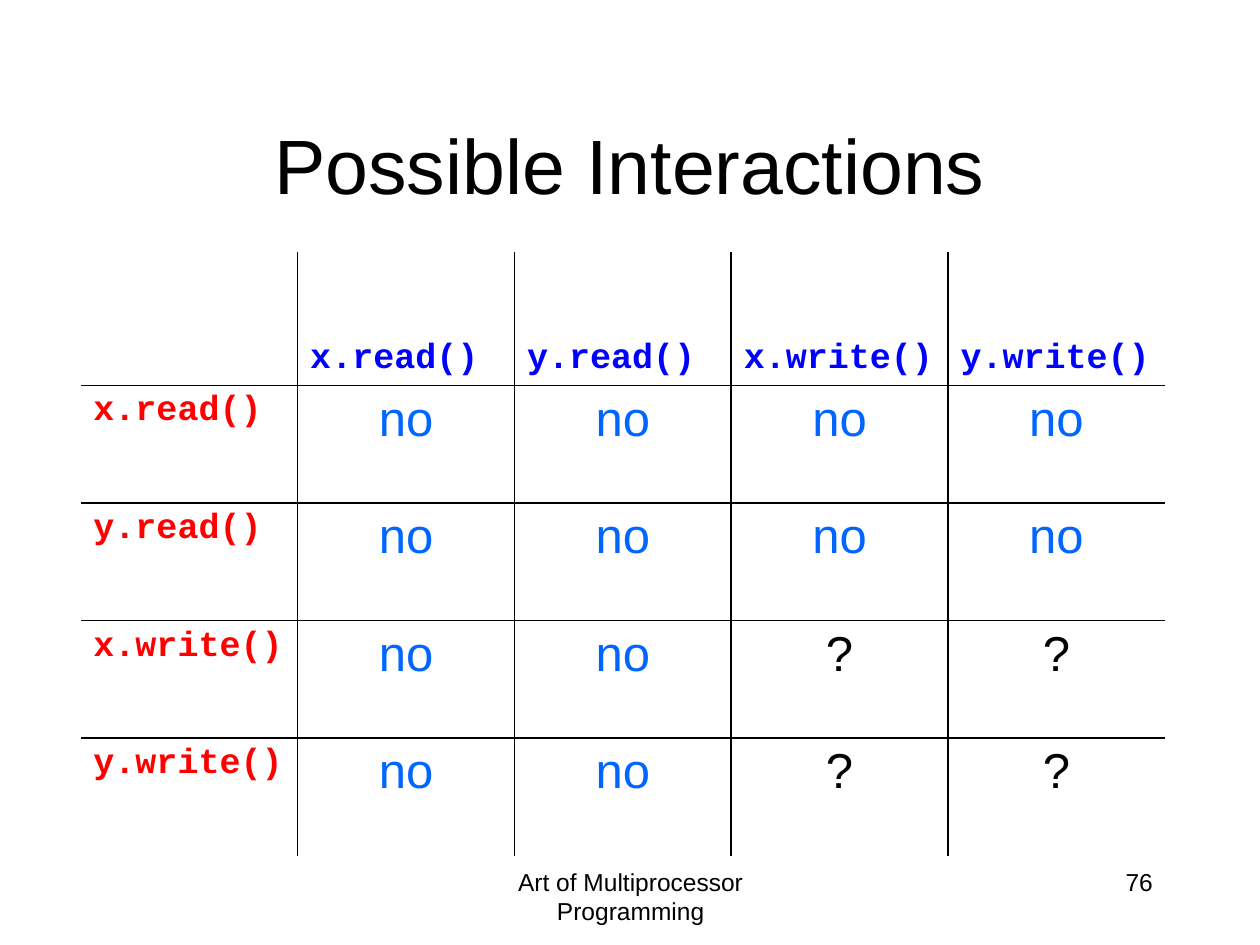
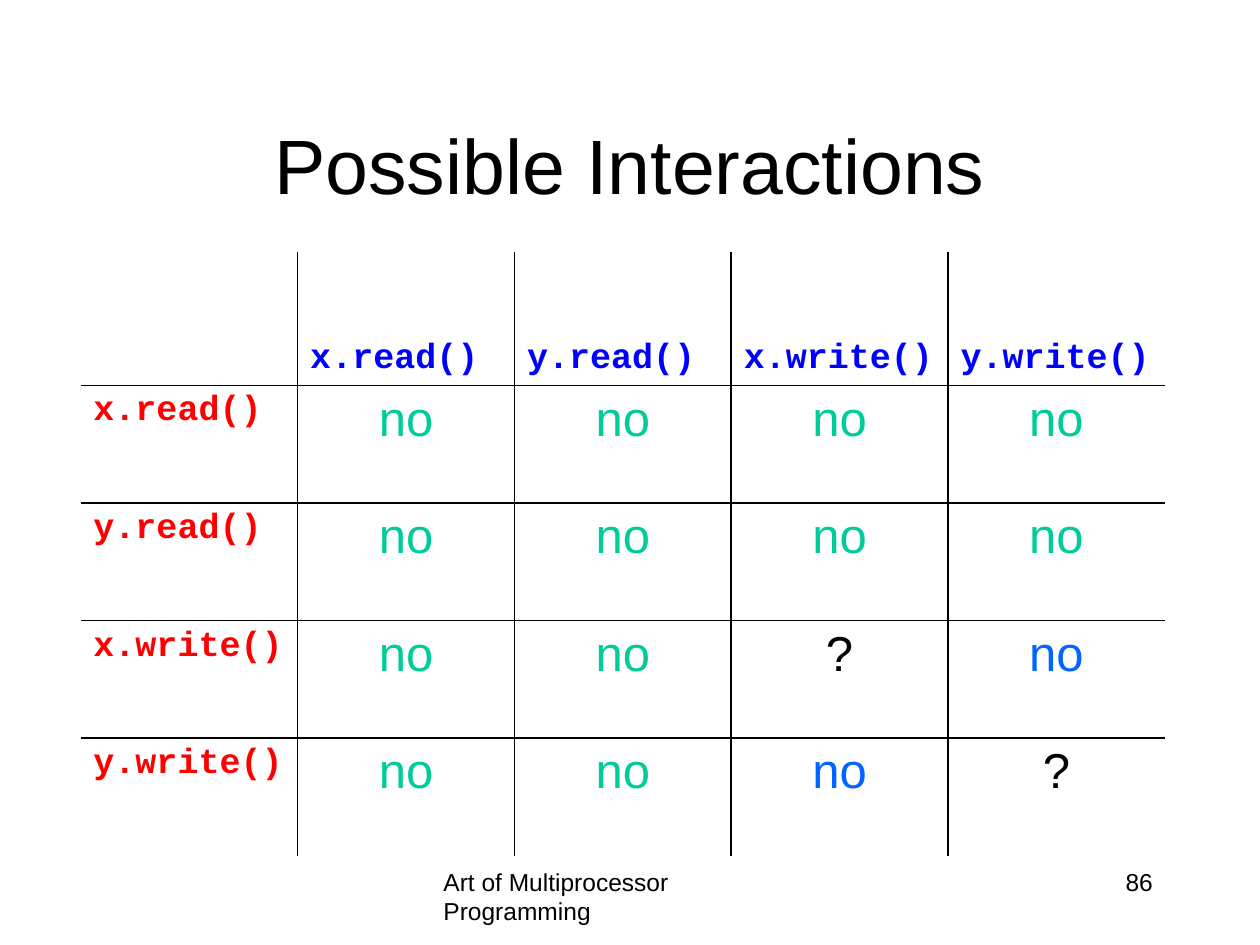
"""Build two slides of method interaction tables."""
from lxml import etree
from pptx import Presentation
from pptx import util as u
from pptx.dml import color
from pptx.enum import text
from pptx.oxml import ns

TITLE = "Possible Interactions"
FOOTER = "Art of Multiprocessor Programming"
CALLS = ["x.read()", "y.read()", "x.write()", "y.write()"]
BLACK, BLUE, RED, NEW, KNOWN = "000000", "0000FF", "FF0000", "0066FF", "00CC99"
LEFT, CENTER, RIGHT = text.PP_ALIGN.LEFT, text.PP_ALIGN.CENTER, text.PP_ALIGN.RIGHT

# Each letter is one answer: n = newly found no, k = already known no, ? = open.
ANSWERS = {"n": ("no", NEW), "k": ("no", KNOWN), "?": ("?", BLACK)}
SLIDES = [
    {"number": "76", "footer_align": CENTER, "grid": ["nnnn", "nnnn", "nn??", "nn??"]},
    {"number": "86", "footer_align": LEFT, "grid": ["kkkk", "kkkk", "kk?n", "kkn?"]},
]

TITLE_FONT = {"name": "Arial", "size": u.Pt(44), "bold": False}
CALL_FONT = {"name": "Courier New", "size": u.Pt(20), "bold": True}
ANSWER_FONT = {"name": "Arial", "size": u.Pt(28), "bold": False}
FOOTER_FONT = {"name": "Arial", "size": u.Pt(14), "bold": False}

TITLE_BOX = (1.9, 1.7, 21.6, 3.18)
FOOTER_BOX = (8.69, 17.35, 8.05, 1.27)
NUMBER_BOX = (18.2, 17.35, 5.29, 1.27)
TABLE_LEFT, TABLE_TOP = 1.63, 5.08
COL_W, HEAD_H, ROW_H = 4.37, 2.69, 2.37


def rgb(value):
    return color.RGBColor.from_string(value)


def cm(*values):
    return [u.Cm(v) for v in values]


def write(tf, words, fmt, hue=BLACK, align=LEFT):
    p = tf.paragraphs[0]
    p.alignment = align
    r = p.add_run()
    r.text = words
    for key, value in fmt.items():
        setattr(r.font, key, value)
    r.font.color.rgb = rgb(hue)


def add_border(cell, side, shown):
    ln = etree.SubElement(cell._tc.get_or_add_tcPr(), ns.qn(f"a:ln{side}"), w=str(u.Pt(1)))
    if shown:
        fill = etree.SubElement(ln, ns.qn("a:solidFill"))
        etree.SubElement(fill, ns.qn("a:srgbClr"), val=BLACK)
    else:
        etree.SubElement(ln, ns.qn("a:noFill"))


def add_label(s, box, words, align):
    tf = s.shapes.add_textbox(*cm(*box)).text_frame
    tf.word_wrap = True
    write(tf, words, FOOTER_FONT, align=align)


def add_title(s):
    sp = s.shapes.title
    sp.left, sp.top, sp.width, sp.height = cm(*TITLE_BOX)
    sp.text_frame.vertical_anchor = text.MSO_ANCHOR.MIDDLE
    write(sp.text_frame, TITLE, TITLE_FONT, align=CENTER)


def add_grid(s, grid):
    n = len(CALLS) + 1
    size = (COL_W * n, HEAD_H + ROW_H * len(CALLS))
    table = s.shapes.add_table(n, n, *cm(TABLE_LEFT, TABLE_TOP, *size)).table
    table.first_row = table.horz_banding = False
    for i in range(n):
        table.columns[i].width = u.Cm(COL_W)
        table.rows[i].height = u.Cm(ROW_H if i else HEAD_H)
    for row in range(n):
        for col in range(n):
            cell = table.cell(row, col)
            inner = {"L": col > 0, "R": col < n - 1, "T": row > 0, "B": row < n - 1}
            for side, shown in inner.items():
                add_border(cell, side, shown)
            cell.fill.background()
            if row and col:
                words, hue = ANSWERS[grid[row - 1][col - 1]]
                write(cell.text_frame, words, ANSWER_FONT, hue, CENTER)
            elif row:
                write(cell.text_frame, CALLS[row - 1], CALL_FONT, RED)
            elif col:
                cell.vertical_anchor = text.MSO_ANCHOR.BOTTOM
                write(cell.text_frame, CALLS[col - 1], CALL_FONT, BLUE)


def main():
    prs = Presentation()
    prs.slide_width, prs.slide_height = cm(25.4, 19.05)
    for item in SLIDES:
        s = prs.slides.add_slide(prs.slide_layouts[5])
        add_title(s)
        add_grid(s, item["grid"])
        add_label(s, FOOTER_BOX, FOOTER, item["footer_align"])
        add_label(s, NUMBER_BOX, item["number"], RIGHT)
    prs.save("out.pptx")


if __name__ == "__main__":
    main()
